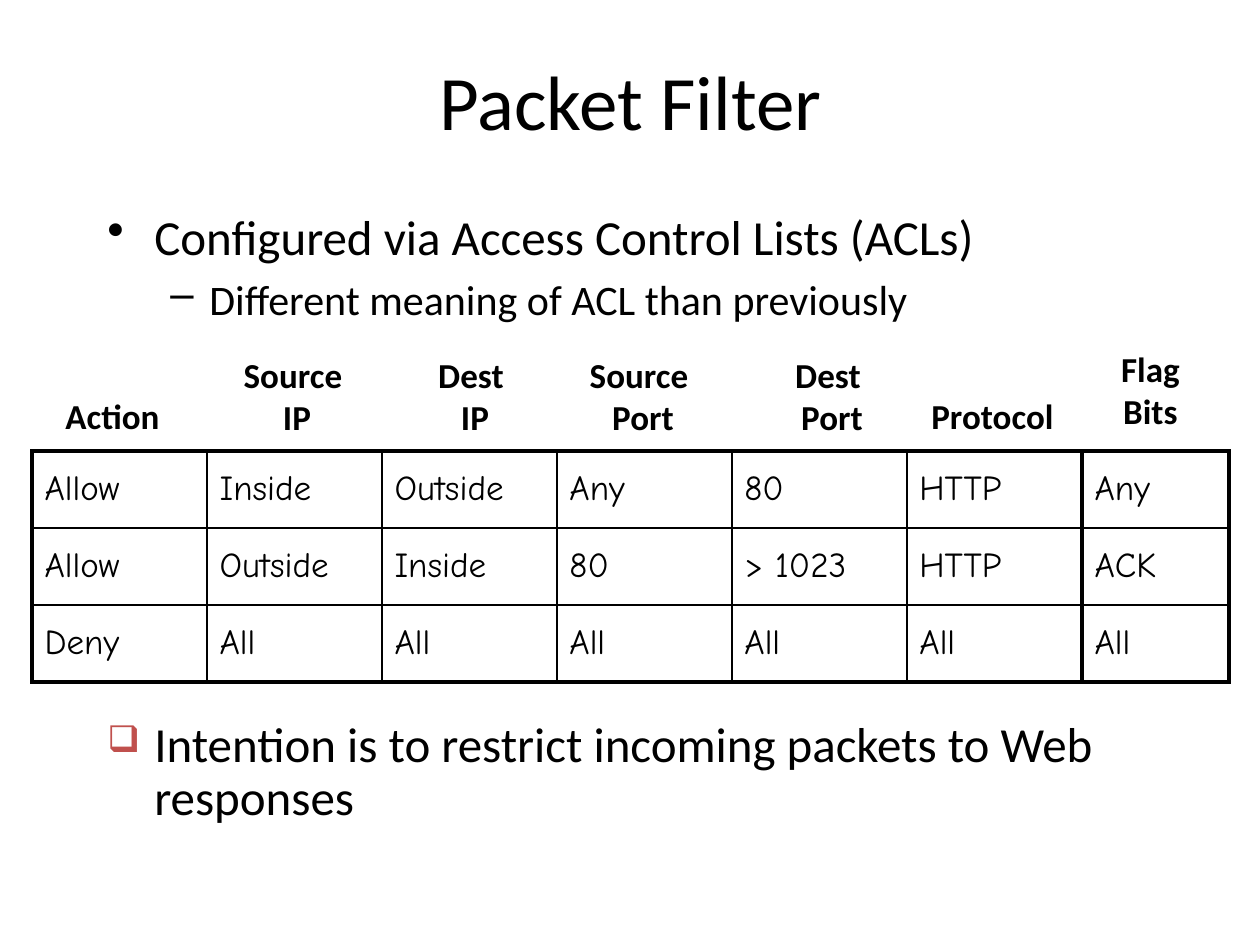
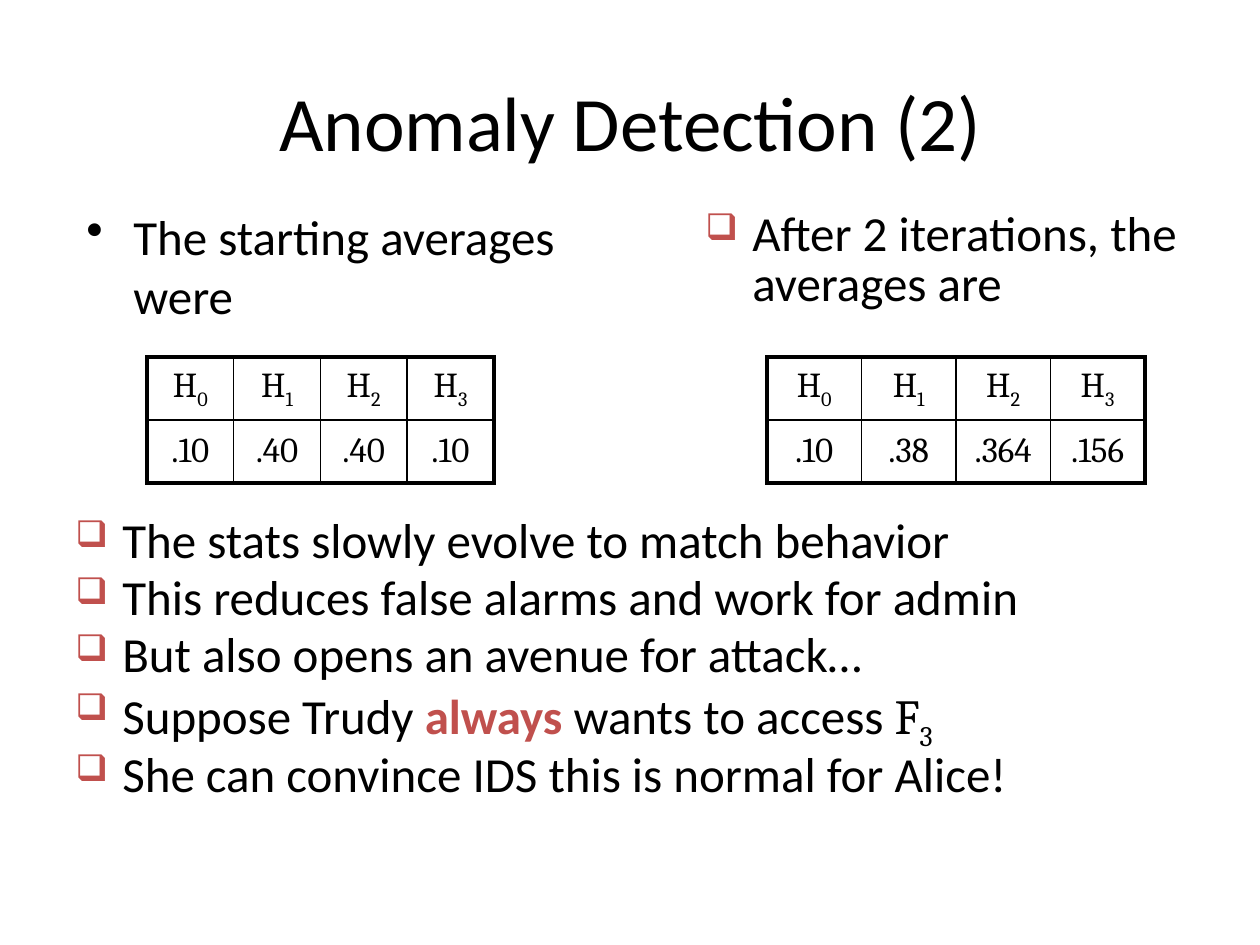
from lxml.etree import SubElement as Sub
from pptx import Presentation
from pptx.dml.color import RGBColor as RGB
from pptx.enum.text import MSO_ANCHOR as ANCHOR, PP_ALIGN as ALIGN
from pptx.oxml.ns import qn
from pptx.util import Pt

SCALE = 7257.14  # EMU in one px, at 126 px to the inch
COLORS = {"ink": "000000", "accent": "C0504D"}
BODY, SERIF, HAND = "Calibri", "Cambria", "Comic Neue"
THICK, THIN = 2.25, 1
LEAD = 20  # space before a paragraph, in percent

# sign, left margin, hang, colour, size in percent
MARKS = {
    "dot": ("•", 47, 47, "ink", 100),
    "dash": ("–", 102, 39, "ink", 100),
    "box": ("❑", 47, 47, "accent", 75),
}


def px(n):
    return round(n * SCALE)


def add(parent, tag, **attrs):
    return Sub(parent, qn(tag), {k: str(v) for k, v in attrs.items()})


def set_mark(para, name):
    sign, left, hang, color, size = MARKS[name]
    props = para._p.get_or_add_pPr()
    props.set("marL", str(px(left)))
    props.set("indent", str(-px(hang)))
    add(add(props, "a:buClr"), "a:srgbClr", val=COLORS[color])
    add(props, "a:buSzPct", val=size * 1000)
    add(props, "a:buChar", char=sign)


def add_run(para, text, size=28, font=BODY, color="ink", bold=False, sub=False):
    run = para.add_run()
    run.text = text
    face = run.font
    face.size, face.name, face.bold = Pt(size), font, bold
    face.color.rgb = RGB.from_string(COLORS[color])
    if sub:
        run._r.get_or_add_rPr().set("baseline", "-25000")


def write(frame, paras, align=ALIGN.LEFT, mark=None, line=None, lead=0,
          level=0, more=False, **face):
    """Fill a frame; a paragraph is a string or a list of (text, format) runs."""
    for i, runs in enumerate(paras):
        para = frame.add_paragraph() if i or more else frame.paragraphs[0]
        para.alignment, para.level = align, level
        if line:
            para.line_spacing = line
        if lead:
            space = add(para._p.get_or_add_pPr(), "a:spcBef")
            add(space, "a:spcPct", val=lead * 1000)
        if mark:
            set_mark(para, mark)
        for text, own in [(runs, {})] if isinstance(runs, str) else runs:
            add_run(para, text, **{**face, **own})


def add_text(slide, box, paras, **form):
    frame = slide.shapes.add_textbox(*map(px, box)).text_frame
    frame.word_wrap = True
    write(frame, paras, **form)
    return frame


def add_list(slide, box, paras, mark="box", **form):
    return add_text(slide, box, paras, mark=mark, lead=LEAD, **form)


def add_head(slide, x, y, width, *words, align=ALIGN.CENTER):
    add_text(slide, (x, y, width, 20 + 45 * len(words)), words,
             align=align, size=20, bold=True)


def add_slide(deck, title, height):
    slide = deck.slides.add_slide(deck.slide_layouts[5])
    shape = slide.shapes.title
    shape.left, shape.top, shape.width, shape.height = map(
        px, (95, 42, 1071, height))
    shape.text_frame.vertical_anchor = ANCHOR.MIDDLE
    write(shape.text_frame, [title], align=ALIGN.CENTER, size=44)
    return slide


def set_edges(cell, **widths):
    props = cell._tc.get_or_add_tcPr()
    for side, width in widths.items():
        edge = add(props, f"a:ln{side}", w=Pt(width))
        add(add(edge, "a:solidFill"), "a:srgbClr", val=COLORS["ink"])


def add_grid(slide, box, rows, **form):
    """Table of equal cells with a thick frame and thin inner lines."""
    high, wide = len(rows), len(rows[0])
    table = slide.shapes.add_table(high, wide, *map(px, box)).table
    table.first_row = table.horz_banding = False
    for r, row in enumerate(rows):
        for c, item in enumerate(row):
            cell = table.cell(r, c)
            set_edges(cell,
                      L=THIN if c else THICK,
                      R=THIN if c < wide - 1 else THICK,
                      T=THIN if r else THICK,
                      B=THIN if r < high - 1 else THICK)
            cell.fill.background()
            cell.vertical_anchor = ANCHOR.MIDDLE
            write(cell.text_frame, [item], lead=LEAD, size=20, **form)


def add_means(slide, x, width, values):
    heads = [[("H", {}), (str(i), {"sub": True})] for i in range(len(values))]
    add_grid(slide, (x, 357, width, 126), [heads, values],
             font=SERIF, align=ALIGN.CENTER)


def filter_slide(deck):
    slide = add_slide(deck, "Packet Filter", 116)
    frame = add_list(slide, (95, 200, 1092, 136),
                     ["Configured via Access Control Lists (ACLs)"], mark="dot")
    write(frame, ["Different meaning of ACL than previously"], mark="dash",
          lead=LEAD, level=1, size=24, more=True)

    rules = [
        ["Allow", "Inside", "Outside", "Any", "80", "HTTP"],
        ["Allow", "Outside", "Inside", "80", "> 1023", "HTTP"],
        ["Deny", "All", "All", "All", "All", "All"],
    ]
    add_grid(slide, (32, 451, 1050, 231), rules, font=HAND)
    add_grid(slide, (1082, 451, 147, 231), [["Any"], ["ACK"], ["All"]],
             font=HAND)

    add_head(slide, 53, 388, 132, "Action", align=ALIGN.LEFT)
    for x, end, name in [(221, "Source ", "IP"), (399, "Dest ", "IP"),
                         (567, "Source ", "Port"), (756, "Dest ", "Port")]:
        add_head(slide, x, 347, 152, end, name)
    add_head(slide, 903, 388, 179, "Protocol")
    add_head(slide, 1061, 341, 179, "Flag", "Bits")

    add_list(slide, (95, 714, 1071, 126),
             ["Intention is to restrict incoming packets to Web responses"],
             line=0.9)


def anomaly_slide(deck):
    slide = add_slide(deck, "Anomaly Detection (2)", 158)
    add_list(slide, (74, 200, 514, 136), ["The starting averages were"],
             mark="dot")
    add_list(slide, (693, 205, 514, 122),
             ["After 2 iterations, the averages are"], line=0.85)
    add_means(slide, 147, 347, [".10", ".40", ".40", ".10"])
    add_means(slide, 767, 378, [".10", ".38", ".364", ".156"])
    add_list(slide, (63, 515, 1144, 336), [
        "The stats slowly evolve to match behavior",
        "This reduces false alarms and work for admin",
        "But also opens an avenue for attack…",
        [("Suppose Trudy ", {}),
         ("always", {"color": "accent", "bold": True}),
         (" wants to access ", {}),
         ("F", {"font": SERIF}),
         ("3", {"font": SERIF, "sub": True})],
        "She can convince IDS this is normal for Alice!",
    ], line=0.8)


def main():
    deck = Presentation()
    deck.slide_width, deck.slide_height = px(1260), px(945)
    filter_slide(deck)
    anomaly_slide(deck)
    deck.save("out.pptx")


if __name__ == "__main__":
    main()
